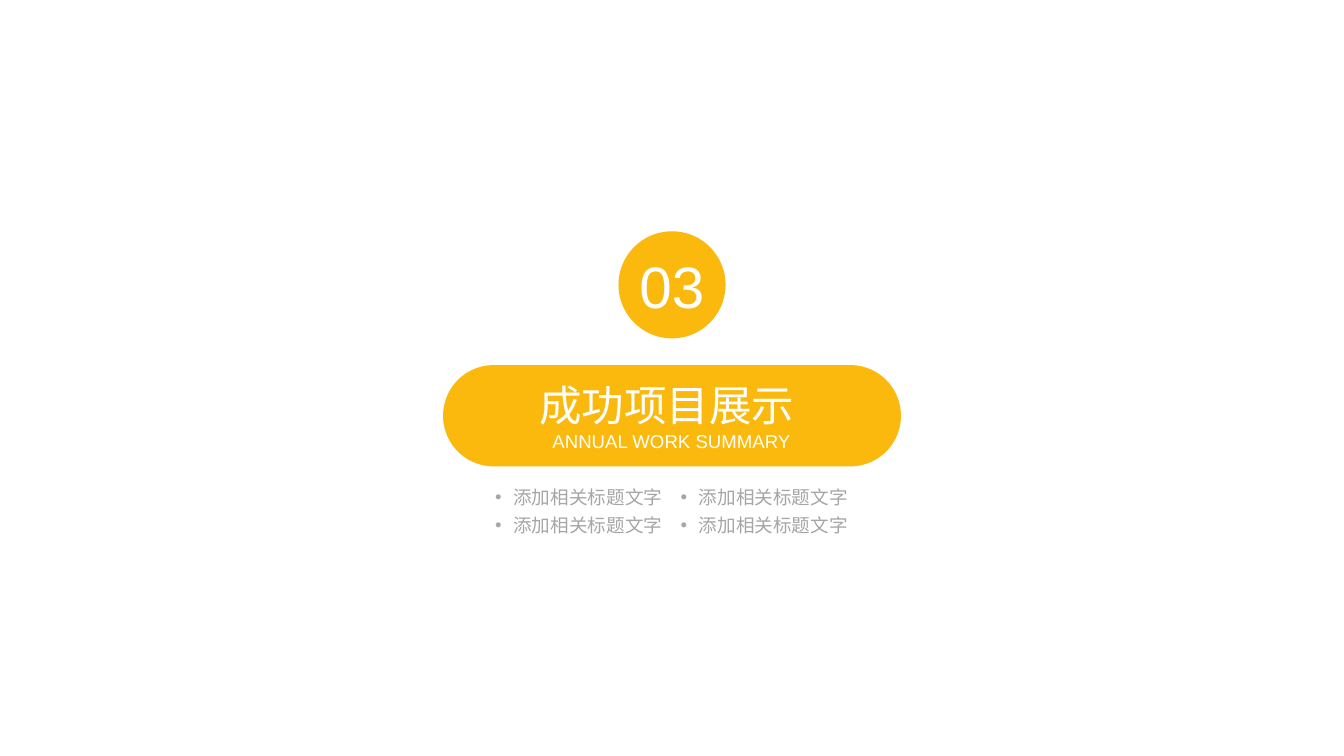
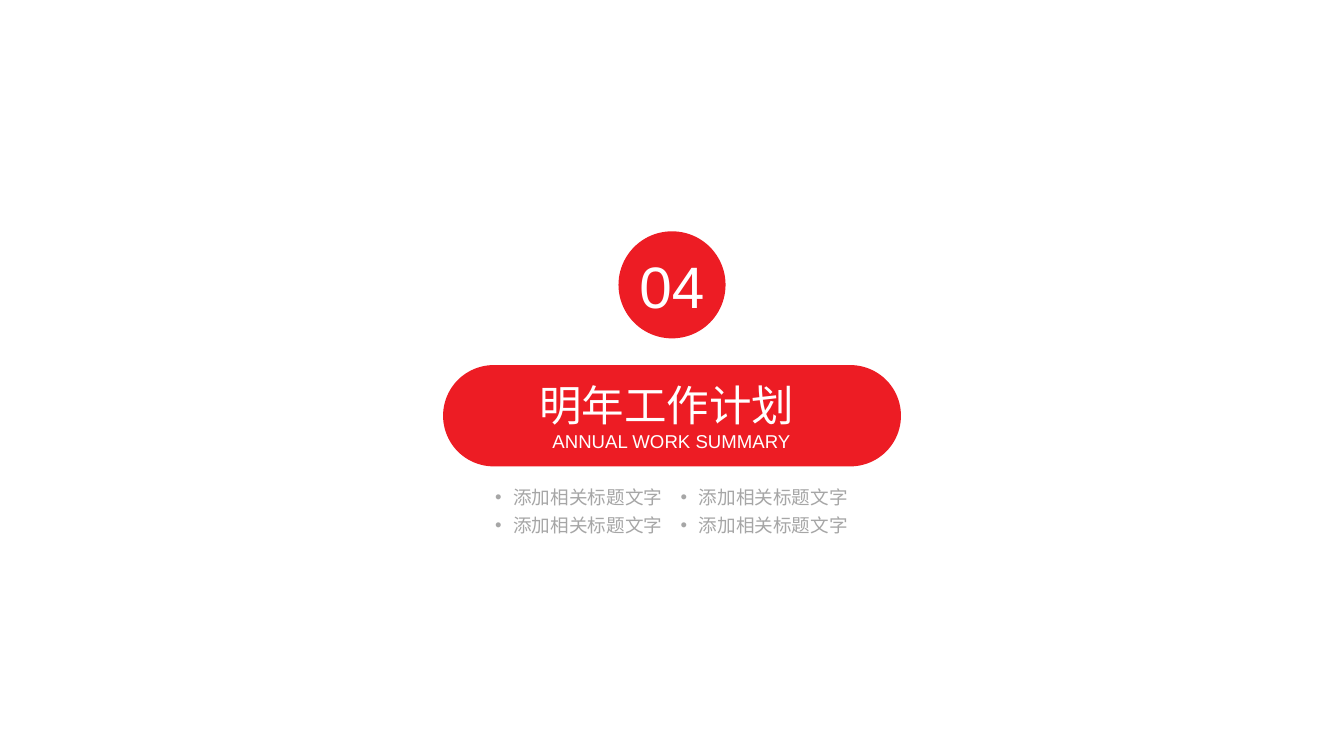
import copy
import dataclasses

import pptx
import pptx.dml.color
import pptx.enum.shapes
import pptx.enum.text
import pptx.oxml
import pptx.oxml.ns
import pptx.util
from pptx.util import Inches


@dataclasses.dataclass(frozen=True)
class Theme:
    font: str = "Arial"
    white: str = "FFFFFF"
    grey: str = "A6A6A6"
    yellow: str = "FBB80D"
    red: str = "ED1C24"
    number_size: int = 44
    title_size: int = 32
    small_size: int = 14


theme = Theme()
SHAPES = pptx.enum.shapes.MSO_SHAPE
ALIGN = pptx.enum.text.PP_ALIGN
ANCHOR = pptx.enum.text.MSO_ANCHOR
SLIDE_WIDTH = 14.06

sections = [
    ("03", "成功项目展示", theme.yellow),
    ("04", "明年工作计划", theme.red),
]
subtitle = "ANNUAL WORK SUMMARY"
list_items = ["添加相关标题文字"] * 2
list_lefts = [5.18, 7.12]


def style_span(span, size, color):
    span.font.name = theme.font
    span.font.size = pptx.util.Pt(size)
    span.font.color.rgb = pptx.dml.color.RGBColor.from_string(color)


def prepare_frame(box, anchor):
    frame = box.text_frame
    frame.margin_left = frame.margin_right = 0
    frame.margin_top = frame.margin_bottom = 0
    frame.word_wrap = True
    frame.auto_size = pptx.enum.text.MSO_AUTO_SIZE.NONE
    frame.vertical_anchor = anchor
    return frame


deck = pptx.Presentation()
deck.slide_width = Inches(SLIDE_WIDTH)
deck.slide_height = Inches(7.91)
two_lists_layout = deck.slide_layouts.get_by_name("Two Content")

for number, heading, accent in sections:
    page = deck.slides.add_slide(two_lists_layout)
    title, *lists = page.placeholders

    # Band and number circle, centred across the page
    filled = []
    for kind, top, width, height in [
        (SHAPES.ROUNDED_RECTANGLE, 3.82, 4.79, 1.06),
        (SHAPES.OVAL, 2.42, 1.12, 1.12),
    ]:
        shape = page.shapes.add_shape(
            kind, Inches((SLIDE_WIDTH - width) / 2), Inches(top),
            Inches(width), Inches(height))
        shape.shadow.inherit = False
        shape.fill.solid()
        shape.fill.fore_color.rgb = pptx.dml.color.RGBColor.from_string(accent)
        shape.line.fill.background()
        filled.append(shape)
    band, circle = filled
    band.adjustments[0] = 0.5
    # The band lies behind the title
    title._element.addprevious(band._element)

    frame = prepare_frame(circle, ANCHOR.MIDDLE)
    frame.text = number
    frame.paragraphs[0].alignment = ALIGN.CENTER
    style_span(frame.paragraphs[0].runs[0], theme.number_size, theme.white)

    # Title with its English line
    title.left, title.top = Inches(5.64), Inches(3.96)
    title.width, title.height = Inches(2.77), Inches(0.77)
    frame = prepare_frame(title, ANCHOR.MIDDLE)
    para = frame.paragraphs[0]
    para.text = f"{heading} \v{subtitle}"
    para.alignment = ALIGN.CENTER
    for span, size in zip(para.runs, [theme.title_size, theme.small_size]):
        style_span(span, size, theme.white)
    # The line break takes the size of the heading
    line_break = para._p.find(pptx.oxml.ns.qn("a:br"))
    line_break.append(copy.deepcopy(para.runs[0]._r.rPr))

    # Two bulleted lists side by side
    for box, left in zip(lists, list_lefts):
        box.left, box.top = Inches(left), Inches(5.08)
        box.width, box.height = Inches(1.85), Inches(0.54)
        frame = prepare_frame(box, ANCHOR.TOP)
        frame.text = "\n".join(list_items)
        for index, para in enumerate(frame.paragraphs):
            properties = para._p.get_or_add_pPr()
            properties.set("marL", str(Inches(0.19)))
            properties.set("indent", str(-Inches(0.19)))
            properties.append(pptx.oxml.parse_xml(
                f'<a:buChar {pptx.oxml.ns.nsdecls("a")} char="•"/>'))
            para.alignment = ALIGN.LEFT
            para.space_before = pptx.util.Pt(4.6 if index else 0)
            style_span(para.runs[0], theme.small_size, theme.grey)

deck.save("out.pptx")
